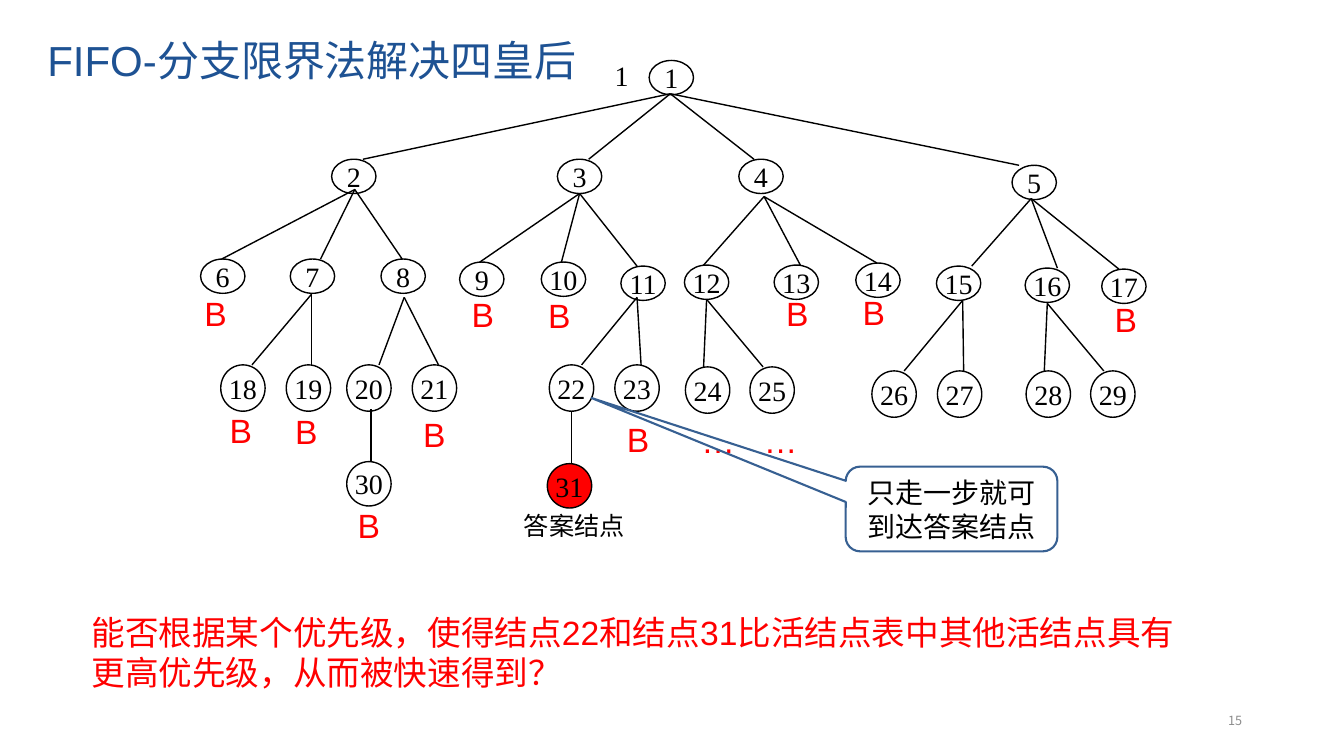
from pptx import Presentation
from pptx import util as u
from pptx.dml import color
from pptx.enum import shapes, text
from pptx.oxml import ns, xmlchemy

CELL = u.Inches(0.1)
BLACK, RED, BLUE, NAVY, GREY = "000000", "FF0000", "376092", "1E5293", "8C8C8C"
SERIF, SANS, CJK = "Times New Roman", "Arial", "Noto Sans CJK SC"
WIDE, FLAT, TALL, LAST = 4.4, 3.4, 4.6, 4.4

NODES = {
    1: (64.4, 6), 2: (32.9, 15.8), 3: (55.3, 15.8), 4: (73.3, 15.8),
    5: (100.4, 16.4), 6: (19.9, 25.7), 7: (28.8, 25.7), 8: (37.8, 25.7),
    9: (45.6, 26), 10: (53.7, 26), 11: (61.6, 26.4), 12: (67.9, 26.3),
    13: (76.8, 26.3), 14: (84.9, 26.1), 15: (92.9, 26.4), 16: (101.7, 26.6),
    17: (109.3, 26.7), 18: (21.9, 36.2), 19: (28.4, 36.2), 20: (34.4, 36.2),
    21: (40.9, 36.2), 22: (54.5, 36.2), 23: (61, 36.2), 24: (68, 36.4),
    25: (74.4, 36.4), 26: (86.5, 36.8), 27: (93, 36.8), 28: (101.8, 36.8),
    29: (108.2, 36.8), 30: (34.4, 45.8), 31: (54.3, 46),
}

TREE = [
    (66.5, 9.3, {2: 36, 3: 58.4, 4: 74.8, 5: 101.1}),
    (35.2, 18.8, {6: 22, 7: 31.8, 8: 39.9}),
    (57.5, 19.2, {9: 47.6, 10: 55.7, 11: 63.2}),
    (75.8, 19.5, {12: 69.8, 13: 79.4, 14: 87}),
    (102.3, 19.7, {15: 96.4, 16: 104.9, 17: 111}),
    (30.9, 29.2, {18: 25, 19: 30.9}),
    (40.1, 29.5, {20: 37.6, 21: 43.5}),
    (63.2, 29.5, {22: 57.7, 23: 63.6}),
    (70.1, 29.7, {24: 69.8, 25: 75.7}),
    (95.5, 29.8, {26: 89.7, 27: 95.6}),
    (103.9, 30.1, {28: 103.6, 29: 109.5}),
    (36.8, 40.6, {30: 36.8}),
    (56.7, 40.8, {31: 56.7}),
]

MARKS = {
    "B": [(19.3, 28.6), (45.8, 28.7), (53.4, 28.8), (77, 28.6), (84.6, 28.5),
          (109.6, 29.2), (21.8, 40.2), (28.3, 40.3), (41, 40.6),
          (61.2, 41.1), (34.5, 49.6)],
    "…": [(68.6, 41.2), (74.8, 41.2)],
}


def grid(*cells):
    """Turn counts of grid cells into lengths."""
    return [round(c * CELL) for c in cells]


def rgb(tone):
    """Make a colour from a hex string."""
    return color.RGBColor.from_string(tone)


def write(shape, words, size, face, tone, side="LEFT", mid=False, wrap=True):
    """Put one formatted run into a shape."""
    frame = shape.text_frame
    frame.word_wrap = wrap
    frame.auto_size = text.MSO_AUTO_SIZE.NONE
    anchor = text.MSO_ANCHOR
    frame.vertical_anchor = anchor.MIDDLE if mid else anchor.TOP
    para = frame.paragraphs[0]
    para.alignment = getattr(text.PP_ALIGN, side)
    run = para.add_run()
    run.text = words
    font = run.font
    font.size, font.name, font.color.rgb = u.Pt(size), face, rgb(tone)
    east = xmlchemy.OxmlElement("a:ea")
    east.set("typeface", face)
    font._element.find(ns.qn("a:latin")).addnext(east)
    return para


def label(slide, box, words, size, face, tone, **style):
    """Add a plain text box."""
    shape = slide.shapes.add_textbox(*grid(*box))
    write(shape, words, size, face, tone, **style)


def outline(slide, kind, box, tone, width, fill=None):
    """Add a preset shape with a line and an optional fill."""
    shape = slide.shapes.add_shape(kind, *grid(*box))
    shape.shadow.inherit = False
    if fill:
        shape.fill.solid()
        shape.fill.fore_color.rgb = rgb(fill)
    else:
        shape.fill.background()
    shape.line.color.rgb = rgb(tone)
    shape.line.width = u.Pt(width)
    return shape


def node(slide, num, left, top):
    """Add a numbered tree node, red for the answer."""
    high = FLAT if num < 18 else TALL if num < 30 else LAST
    fill = RED if num == 31 else None
    oval = shapes.MSO_SHAPE.OVAL
    shape = outline(slide, oval, (left, top, WIDE, high), BLACK, 1, fill)
    write(shape, str(num), 20, SERIF, BLACK, "CENTER", mid=True, wrap=False)


def edge(slide, *ends):
    """Add a straight tree edge."""
    line = slide.shapes.add_connector(shapes.MSO_CONNECTOR.STRAIGHT, *grid(*ends))
    line.line.color.rgb = rgb(BLACK)
    line.line.width = u.Pt(1)
    line._element.spPr.append(xmlchemy.OxmlElement("a:effectLst"))


def head(slide, words):
    """Place and format the title."""
    title = slide.shapes.title
    title.left, title.top, title.width, title.height = grid(3.7, 1.3, 115, 9.9)
    para = write(title, words, 30, SANS, NAVY, mid=True)
    para.line_spacing = 0.9


def bubble(slide, words):
    """Add the callout that points at node 22."""
    kind = shapes.MSO_SHAPE.ROUNDED_RECTANGULAR_CALLOUT
    shape = outline(slide, kind, (83.9, 46.3, 21, 8.4), BLUE, 1.5)
    for spot, share in enumerate((-1.7, -1.31, 0.17)):
        shape.adjustments[spot] = share
    write(shape, words, 20, SANS, BLACK, "CENTER")


def main():
    """Build the slide and save it."""
    deck = Presentation()
    deck.slide_width, deck.slide_height = grid(133.33, 75)
    slide = deck.slides.add_slide(deck.slide_layouts[5])
    head(slide, "FIFO-分支限界法解决四皇后")
    for x, y, kids in TREE:
        for num, tip in kids.items():
            edge(slide, x, y, tip, NODES[num][1])
    for num, spot in NODES.items():
        node(slide, num, *spot)
    for mark, spots in MARKS.items():
        for spot in spots:
            label(slide, (*spot, 4.7, 5), mark, 24, SANS, RED)
    label(slide, (60, 5.3, 3.7, 4.4), "1", 20, SERIF, BLACK)
    label(slide, (51, 50.1, 17.3, 4), "答案结点", 18, SANS, BLACK)
    label(slide, (8.1, 60.2, 111.3, 9.1),
          "能否根据某个优先级，使得结点22和结点31比活结点表中其他活结点具有更高优先级，从而被快速得到？",
          24, SANS, RED)
    bubble(slide, "只走一步就可到达答案结点")
    label(slide, (94.2, 69.5, 30, 4), "15", 9, CJK, GREY, side="RIGHT", mid=True)
    deck.save("out.pptx")


if __name__ == "__main__":
    main()
